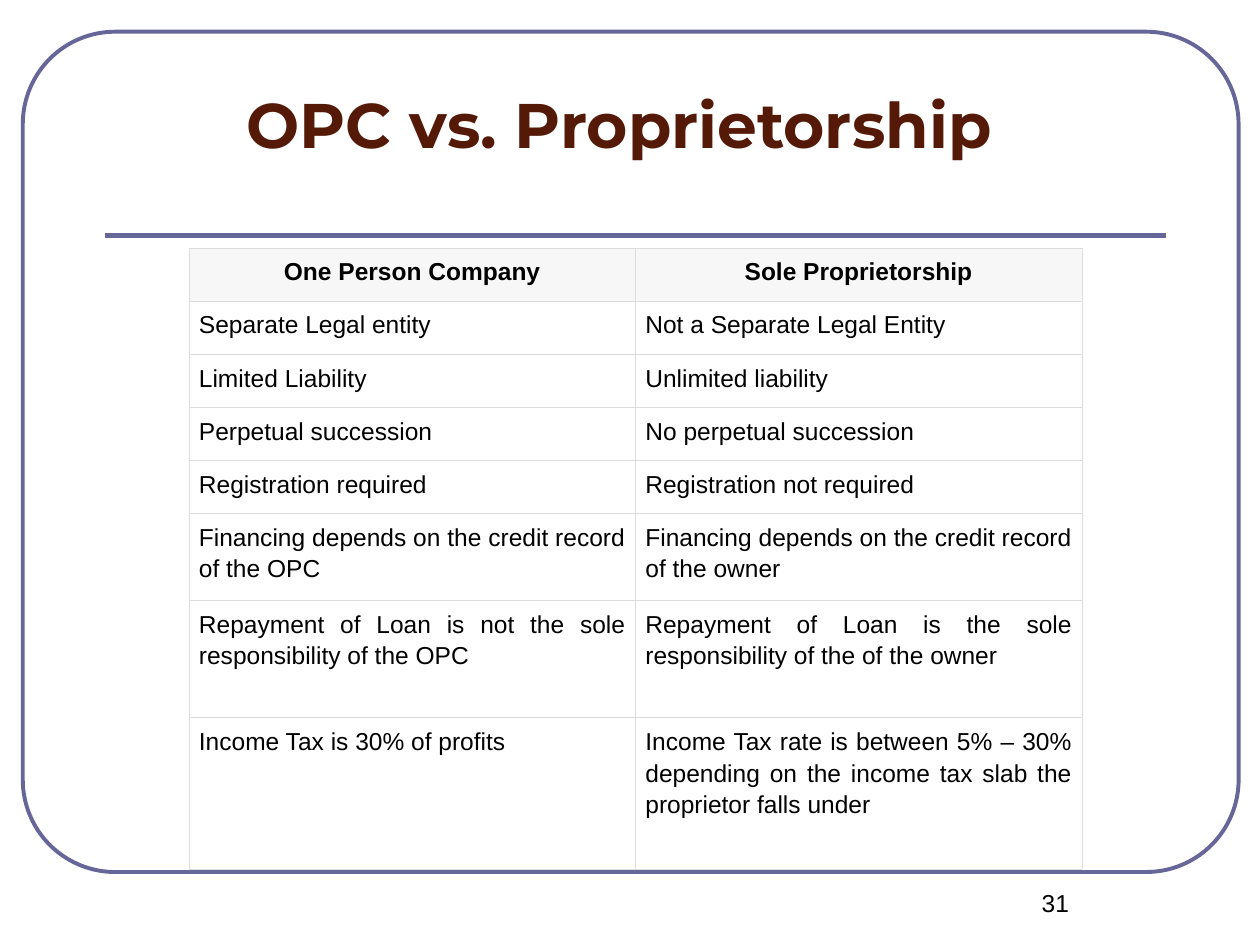
from dataclasses import dataclass

from lxml.etree import SubElement
from pptx import Presentation
from pptx.dml.color import RGBColor
from pptx.enum.shapes import MSO_CONNECTOR, MSO_SHAPE
from pptx.enum.text import MSO_ANCHOR, PP_ALIGN
from pptx.oxml.ns import qn
from pptx.slide import Slide
from pptx.table import _Cell
from pptx.text.text import TextFrame
from pptx.util import Cm, Pt


@dataclass(frozen=True)
class Theme:
    frame: str = "666699"
    title: str = "551A07"
    text: str = "000000"
    head: str = "F7F7F7"
    body: str = "FFFFFF"
    grid: str = "DDDDDD"
    face: str = "Arial"
    display: str = "Montserrat"
    large: int = 36
    small: int = 14


@dataclass(frozen=True)
class Row:
    company: str
    sole: str
    height: float = 1.07


THEME = Theme()
ROWS = [
    Row("One Person Company", "Sole Proprietorship"),
    Row("Separate Legal entity", "Not a Separate Legal Entity"),
    Row("Limited Liability", "Unlimited liability"),
    Row("Perpetual succession", "No perpetual succession"),
    Row("Registration required", "Registration not required"),
    Row("Financing depends on the credit record of the OPC",
        "Financing depends on the credit record of the owner", 1.75),
    Row("Repayment of Loan is not the sole responsibility of the OPC",
        "Repayment of Loan is the sole responsibility of the of the owner", 2.37),
    Row("Income Tax is 30% of profits",
        "Income Tax rate is between 5% – 30% depending on the income tax slab "
        "the proprietor falls under", 3.05),
]


def rgb(color: str) -> RGBColor:
    return RGBColor.from_string(color)


def write(frame: TextFrame, text: str, *, size: int = THEME.small,
          face: str = THEME.face, color: str = THEME.text, bold: bool = False,
          align: PP_ALIGN = PP_ALIGN.CENTER, lines: float | None = None,
          after: int | None = None) -> None:
    frame.word_wrap = True
    para = frame.paragraphs[0]
    para.alignment = align
    if lines is not None:
        para.line_spacing = lines
    if after is not None:
        para.space_after = Pt(after)
    run = para.add_run()
    run.text = text
    run.font.size = Pt(size)
    run.font.name = face
    run.font.bold = bold
    run.font.color.rgb = rgb(color)


def add_text(slide: Slide, text: str, left: float, top: float, width: float,
             height: float, anchor: MSO_ANCHOR = MSO_ANCHOR.TOP, **style) -> None:
    box = slide.shapes.add_textbox(Cm(left), Cm(top), Cm(width), Cm(height))
    box.text_frame.vertical_anchor = anchor
    write(box.text_frame, text, **style)


def add_frame(slide: Slide) -> None:
    """Draw the rounded border and the rule under the title."""
    border = slide.shapes.add_shape(
        MSO_SHAPE.ROUNDED_RECTANGLE, Cm(0.46), Cm(0.64), Cm(24.51), Cm(16.94))
    border.adjustments[0] = 0.11
    border.shadow.inherit = False
    border.fill.background()
    rule = slide.shapes.add_connector(
        MSO_CONNECTOR.STRAIGHT, Cm(2.11), Cm(4.75), Cm(23.5), Cm(4.75))
    SubElement(rule._element.spPr, qn("a:effectLst"))
    for shape, width in ((border, 2.25), (rule, 3)):
        shape.line.color.rgb = rgb(THEME.frame)
        shape.line.width = Pt(width)


def outline(cell: _Cell) -> None:
    props = cell._tc.get_or_add_tcPr()
    for side in ("lnL", "lnR", "lnT", "lnB"):
        line = SubElement(props, qn(f"a:{side}"), w=str(Pt(0.45)))
        fill = SubElement(line, qn("a:solidFill"))
        SubElement(fill, qn("a:srgbClr"), val=THEME.grid)


def add_grid(slide: Slide) -> None:
    """Draw the comparison table."""
    total = sum(row.height for row in ROWS)
    table = slide.shapes.add_table(
        len(ROWS), 2, Cm(3.81), Cm(5), Cm(18), Cm(total)).table
    table.horz_banding = False
    for index, row in enumerate(ROWS):
        head = index == 0
        table.rows[index].height = Cm(row.height)
        for col, text in enumerate((row.company, row.sole)):
            cell = table.cell(index, col)
            cell.margin_left = cell.margin_right = Cm(0.2)
            cell.margin_top = cell.margin_bottom = Cm(0.13)
            outline(cell)
            cell.fill.solid()
            cell.fill.fore_color.rgb = rgb(THEME.head if head else THEME.body)
            write(cell.text_frame, text, bold=head, lines=1.15, after=15,
                  align=PP_ALIGN.CENTER if head else PP_ALIGN.JUSTIFY)


def main() -> None:
    deck = Presentation()
    deck.slide_width, deck.slide_height = Cm(25.4), Cm(19.05)
    slide = deck.slides.add_slide(deck.slide_layouts[6])
    add_frame(slide)
    add_text(slide, "OPC vs. Proprietorship", 4.01, 0, 16.94, 3.38,
             MSO_ANCHOR.BOTTOM, size=THEME.large, face=THEME.display,
             color=THEME.title, bold=True)
    add_grid(slide)
    add_text(slide, "31", 19.05, 17.78, 4.45, 1.27)
    deck.save("out.pptx")


if __name__ == "__main__":
    main()
